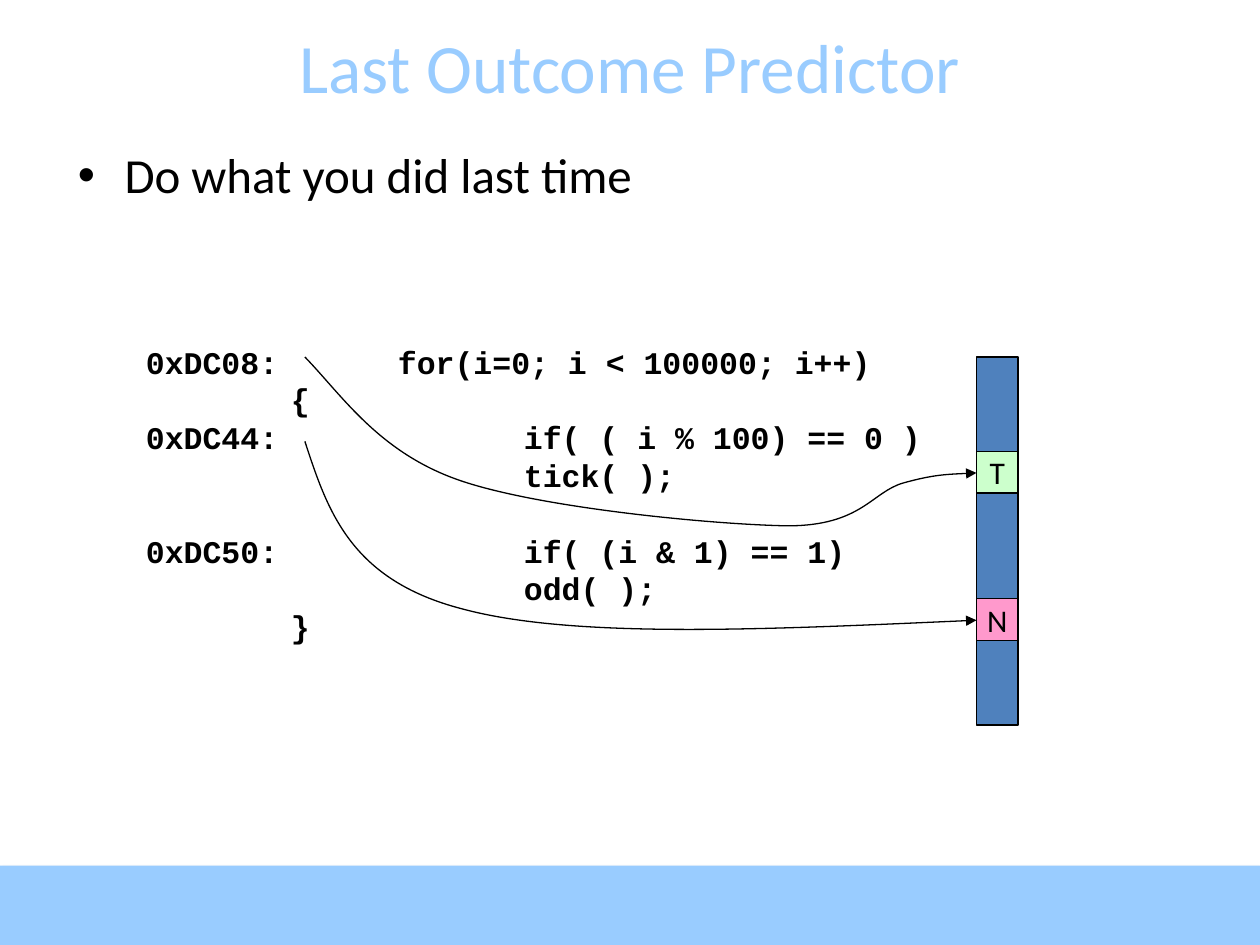
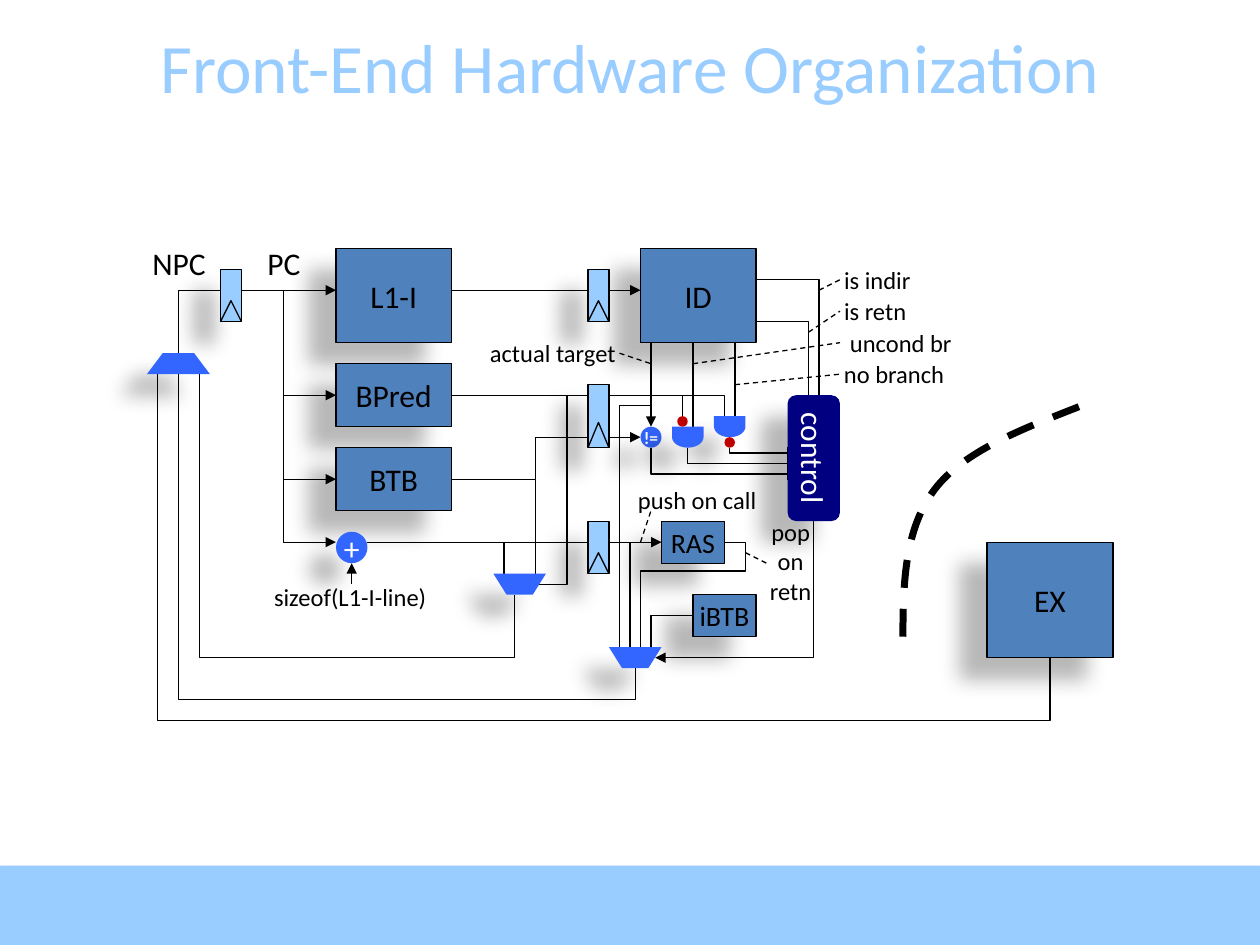
"""Builds two slides on branch prediction and front-end hardware."""
from dataclasses import dataclass

import lxml.etree
import pptx
import pptx.dml.color
import pptx.enum.dml
import pptx.enum.shapes
import pptx.enum.text
import pptx.oxml.ns
import pptx.util

Inches, Pt = pptx.util.Inches, pptx.util.Pt
SHAPE = pptx.enum.shapes.MSO_SHAPE
ALIGN = pptx.enum.text.PP_ALIGN
ANCHOR = pptx.enum.text.MSO_ANCHOR


@dataclass(frozen=True)
class Theme:
    """Fonts, type sizes, colours and shadows of the deck."""
    font: str = "Calibri"
    code_font: str = "Courier New"
    title: float = 39.6
    body: int = 28
    block: int = 18
    store: int = 16
    label: int = 14
    small: int = 10
    code_line: float = 21.6
    hairline: float = 0.75
    sky: str = "99CCFF"
    steel: str = "4F81BD"
    logic: str = "3366FF"
    navy: str = "000080"
    inverter: str = "C00000"
    taken: str = "CCFFCC"
    not_taken: str = "FF99CC"
    ink: str = "000000"
    paper: str = "FFFFFF"
    band_shadow: tuple = (35, 3.1, 1.8, 90)
    part_shadow: tuple = (28, 11.8, 19.7, 141)


T = Theme()


@dataclass(frozen=True)
class Box:
    """A region with its origin in inches and the length of its grid unit."""
    left: float
    top: float
    unit: float = 1

    def point(self, x, y):
        """Return the slide position of a grid point."""
        return Inches(self.left + x * self.unit), Inches(self.top + y * self.unit)

    def frame(self, x, y, w, h):
        """Return the slide position and size of a grid rectangle."""
        return *self.point(x, y), Inches(w * self.unit), Inches(h * self.unit)


def rgb(colour):
    """Return a colour object for a hex string."""
    return pptx.dml.color.RGBColor.from_string(colour)


def sub(parent, tag, **attrs):
    """Append a drawing element with the given attributes."""
    e = lxml.etree.SubElement(parent, pptx.oxml.ns.qn(tag))
    for name, value in attrs.items():
        e.set(name, str(value))
    return e


def add_run(p, text, size, colour=T.ink, font=T.font, bold=False):
    """Add one formatted run to a paragraph."""
    r = p.add_run()
    r.text = text
    r.font.name, r.font.size, r.font.bold = font, Pt(size), bold
    r.font.color.rgb = rgb(colour)


def paragraphs(tf, lines):
    """Yield one paragraph of the frame with each line of text."""
    for i, line in enumerate(lines):
        yield (tf.add_paragraph() if i else tf.paragraphs[0]), line


def cast_shadow(sp, shadow):
    """Replace the inherited shadow with an outer one, or with none."""
    sp.shadow.inherit = False
    if shadow:
        alpha, blur, dist, angle = shadow
        effects = sp._element.spPr.find(pptx.oxml.ns.qn("a:effectLst"))
        outer = sub(effects, "a:outerShdw", blurRad=Pt(blur), dist=Pt(dist),
                    dir=angle * 60000, algn="ctr", rotWithShape=0)
        sub(sub(outer, "a:srgbClr", val=T.ink), "a:alpha", val=alpha * 1000)


def paint(sp, fill, outline, shadow):
    """Set the fill, outline and shadow of a shape."""
    sp.fill.solid()
    sp.fill.fore_color.rgb = rgb(fill)
    if outline:
        sp.line.color.rgb, sp.line.width = rgb(T.ink), Pt(T.hairline)
    else:
        sp.line.fill.background()
    cast_shadow(sp, shadow)


def part(s, box, rect, fill=T.steel, text="", size=T.block, kind=SHAPE.RECTANGLE,
         colour=T.ink, outline=True, shadow=T.part_shadow, bold=False):
    """Draw a preset shape with an optional centred caption."""
    sp = s.shapes.add_shape(kind, *box.frame(*rect))
    paint(sp, fill, outline, shadow)
    if text:
        tf = sp.text_frame
        tf.word_wrap, tf.vertical_anchor = False, ANCHOR.MIDDLE
        tf.paragraphs[0].alignment = ALIGN.CENTER
        add_run(tf.paragraphs[0], text, size, colour, bold=bold)
    return sp


def label(s, box, rect, text, size=T.label, align=ALIGN.CENTER):
    """Write a label that does not wrap."""
    tf = s.shapes.add_textbox(*box.frame(*rect)).text_frame
    tf.word_wrap = False
    for p, line in paragraphs(tf, text.split("\n")):
        p.alignment = align
        add_run(p, line, size)


def outline_shape(s, box, points, close=False):
    """Build a freeform through grid points."""
    start, *rest = [box.point(*pt) for pt in points]
    fb = s.shapes.build_freeform(*start)
    fb.add_line_segments(rest, close=close)
    return fb.convert_to_shape()


def stroke(sp, arrow=False, dash=False, width=T.hairline):
    """Set the line style and the arrowhead of a wire."""
    sp.line.color.rgb, sp.line.width = rgb(T.ink), Pt(width)
    if dash:
        sp.line.dash_style = pptx.enum.dml.MSO_LINE.DASH
    if arrow:
        sub(sp.line._get_or_add_ln(), "a:tailEnd", type="triangle")


def open_path(s, box, points):
    """Build an unfilled freeform without a shadow."""
    sp = outline_shape(s, box, points)
    sp.fill.background()
    sp.shadow.inherit = False
    return sp


def wire(s, box, *points, **style):
    """Draw a line through grid points, as a connector when it is straight."""
    if len(points) > 2:
        stroke(open_path(s, box, points), **style)
        return
    start, end = (box.point(*pt) for pt in points)
    sp = s.shapes.add_connector(pptx.enum.shapes.MSO_CONNECTOR.STRAIGHT, *start, *end)
    stroke(sp, **style)
    sub(sp._element.spPr, "a:effectLst")


def curve(s, box, *points, **style):
    """Draw cubic Bezier segments, each of two control points and an end."""
    sp = open_path(s, box, points)
    lines = list(sp._element.iter(pptx.oxml.ns.qn("a:lnTo")))
    for i in range(0, len(lines), 3):
        bezier = sub(lines[i].getparent(), "a:cubicBezTo")
        for line in lines[i:i + 3]:
            bezier.append(line[0])
            line.getparent().remove(line)
    stroke(sp, **style)


def new_slide(prs, title):
    """Add a blank slide with the footer band and the title."""
    s = prs.slides.add_slide(prs.slide_layouts[6])
    part(s, Box(0, 6.87), (0, 0, 10, 0.63), T.sky, outline=False, shadow=T.band_shadow)
    tf = s.shapes.add_textbox(*Box(0, 0.21).frame(0, 0, 10, 0.63)).text_frame
    tf.word_wrap, tf.vertical_anchor = True, ANCHOR.MIDDLE
    tf.paragraphs[0].alignment = ALIGN.CENTER
    add_run(tf.paragraphs[0], title, T.title, T.sky)
    return s


def bullet_text(s, box, text):
    """Write one bulleted statement."""
    tf = s.shapes.add_textbox(*box.frame(0, 0, 9, 5.56)).text_frame
    tf.word_wrap = True
    p = tf.paragraphs[0]
    pPr = p._p.get_or_add_pPr()
    pPr.set("marL", str(Inches(0.37)))
    pPr.set("indent", str(-Inches(0.37)))
    sub(pPr, "a:buFont", typeface="Arial")
    sub(pPr, "a:buChar", char="•")
    add_run(p, text, T.body)


def code_listing(s, box):
    """Write the loop with its branch addresses on one-inch tab stops."""
    tf = s.shapes.add_textbox(*box.frame(0, 0, 6.77, 2.52)).text_frame
    tf.word_wrap = True
    lines = ("0xDC08:\tfor(i=0; i < 100000; i++)", "\t {",
             "0xDC44:\t\tif( ( i % 100) == 0 )", "\t\t\ttick( );",
             "0xDC50:\t\tif( (i & 1) == 1)", "\t\t\todd( );", "\t }")
    for p, line in paragraphs(tf, lines):
        tabs = sub(p._p.get_or_add_pPr(), "a:tabLst")
        for stop in (1, 2, 3):
            sub(tabs, "a:tab", pos=Inches(stop), algn="l")
        p.line_spacing = Pt(T.code_line)
        if line.startswith("0xDC50"):
            p.space_before = Pt(T.code_line)
        add_run(p, line, T.block, font=T.code_font, bold=True)


def history_table(s, box):
    """Draw the predictor column and the arrows from two branches."""
    part(s, box, (5.33, 0, 0.33, 2.92), shadow=None)
    for y, fill, text in ((0.75, T.taken, "T"), (1.92, T.not_taken, "N")):
        part(s, box, (5.33, y, 0.33, 0.33), fill, text, shadow=None)
    curve(s, box, (0, 0.67), (0.18, 1.22), (0.36, 1.77), (1.25, 2),
          (2.14, 2.24), (3.73, 2.16), (5.33, 2.09), arrow=True)
    curve(s, box, (0, 0), (0.3, 0.31), (0.59, 0.76), (1.23, 0.98),
          (1.87, 1.2), (3.24, 1.33), (3.83, 1.34), (4.42, 1.34), (4.5, 1.07), (4.75, 1),
          (5, 0.93), (5.16, 0.93), (5.33, 0.92), arrow=True)


def register(s, box, x, y, h=5, notch=2):
    """Draw a pipeline register with its clock notch."""
    part(s, box, (x, y, 2, h), T.sky)
    wire(s, box, (x, y + h), (x + 1, y + h - notch), (x + 2, y + h))


def mux(s, box, x, y, w, wide_at_top=True):
    """Draw a multiplexer two units high."""
    wide, narrow = (y, y + 2) if wide_at_top else (y + 2, y)
    inset = w / 4
    sp = outline_shape(s, box, [(x, wide), (x + inset, narrow),
                                (x + w - inset, narrow), (x + w, wide)], close=True)
    paint(sp, T.logic, False, T.part_shadow)


def fetch_stage(s, box):
    """Draw the next-PC path, the cache, the predictors and the adder."""
    wire(s, box, (29, 14), (42, 14))
    wire(s, box, (40, 14), (40, 32), (37, 32))
    wire(s, box, (29, 4), (47, 4), arrow=True)
    for y, h, text in ((0, 9, "L1-I"), (11, 6, "BPred"), (19, 6, "BTB")):
        part(s, box, (18, y, 11, h), text=text)
    wire(s, box, (9, 4), (18, 4), arrow=True)
    part(s, box, (18, 27, 3, 3), T.logic, "+", kind=SHAPE.OVAL, colour=T.paper, outline=False)
    for y, end in ((4, 14), (14, 22), (22, 28)):
        wire(s, box, (13, y), (13, end), (18, end), arrow=True)
    wire(s, box, (19.5, 32), (19.5, 30), arrow=True)
    wire(s, box, (21, 28), (34, 28), (34, 31))
    wire(s, box, (29, 22), (37, 22), (37, 31))
    wire(s, box, (3, 10), (3, 4), (7, 4))
    register(s, box, 7, 2)
    label(s, box, (10.75, 31.2, 17.2, 4), "sizeof(L1-I-line)")
    label(s, box, (-1.2, -1, 8.5, 4.8), "NPC", T.block)
    label(s, box, (10, -1, 6.1, 4.8), "PC", T.block)


def decode_stage(s, box):
    """Draw the decoder, the target check, the gates and the control block."""
    part(s, box, (47, 0, 11, 9), text="ID")
    wire(s, box, (52, 9), (52, 17))
    wire(s, box, (37, 22), (37, 18), (47, 18), arrow=True)
    check = part(s, box, (47, 17, 2, 2), T.logic, "!=", T.small, SHAPE.OVAL,
                 T.paper, outline=False, bold=True)
    check.text_frame.margin_left = check.text_frame.margin_right = 0
    wire(s, box, (48, 9), (48, 17), arrow=True)
    register(s, box, 42, 2)
    register(s, box, 42, 13, 6, 2.4)
    wire(s, box, (44, 14), (51, 14), (51, 16))
    wire(s, box, (51, 14), (55, 14), (55, 16))
    wire(s, box, (56, 9), (56, 16))
    wire(s, box, (58, 7), (63, 7), (63, 14))
    wire(s, box, (58, 3), (64, 3), (64, 14))
    for i, x in enumerate((55.5, 51.5, 48)):
        part(s, box, (61, 19 + i, 1, 1), shadow=None)
        wire(s, box, (x, 19), (x, 19.5 + i), (61, 19.5 + i))
    control = part(s, box, (57.5, 17.5, 12, 5), T.navy, "control",
                   kind=SHAPE.ROUNDED_RECTANGLE, colour=T.paper, outline=False)
    control.rotation = 90
    for x, y, dot_x, dot_y in ((54.5, 15.5, 55, 18), (50.5, 16.5, 50.5, 16)):
        gate = part(s, box, (x, y, 2, 3), T.logic, kind=SHAPE.FLOWCHART_DELAY, outline=False)
        gate.rotation = 90
        part(s, box, (dot_x, dot_y, 1, 1), T.inverter, kind=SHAPE.OVAL, outline=False)


def target_stage(s, box):
    """Draw the return stack, the indirect buffer and the target select."""
    part(s, box, (49, 26, 6, 4), text="RAS", size=T.store)
    part(s, box, (52, 33, 6, 4), text="iBTB", size=T.store)
    register(s, box, 42, 26)
    wire(s, box, (34, 28), (42, 28))
    wire(s, box, (44, 28), (49, 28), arrow=True)
    wire(s, box, (46, 28), (46, 38))
    wire(s, box, (55, 28), (57, 28), (57, 30.75), (47, 30.75), (47, 38))
    wire(s, box, (48, 15), (45, 15), (45, 38))
    wire(s, box, (52, 35), (48, 35), (48, 38))
    wire(s, box, (63.5, 26), (63.5, 39), (48.4, 39), arrow=True)


def signal_labels(s, box):
    """Write the signal names and their dashed leaders."""
    for rect, text in (((31.4, 8, 14.5, 4), "actual target"),
                       ((45.4, 22, 14, 4), "push on call"),
                       ((58.1, 25, 6.4, 9.7), "pop\non\nretn"),
                       ((65.7, 7, 12.2, 4), "uncond br")):
        label(s, box, rect, text)
    for y, w, text in ((1, 9, "is indir"), (4, 8.5, "is retn"), (10, 12, "no branch")):
        label(s, box, (65.2, y, w, 4), text, align=ALIGN.LEFT)
    for start, end in (((47, 28), (48, 25)), ((45, 10), (48, 11)),
                       ((52, 11), (66, 9)), ((56, 13), (66, 12)),
                       ((63, 8), (66, 6)), ((64, 4), (66, 3)), ((57, 29), (59, 30))):
        wire(s, box, start, end, dash=True)


def redirect_paths(s, box):
    """Draw the execute stage, the return wires and the multiplexers."""
    part(s, box, (80, 28, 12, 11), text="EX")
    curve(s, box, (72, 37), (72, 31.8), (72.2, 26.7), (75, 23),
          (77.8, 19.3), (83.4, 17.2), (89, 15), dash=True, width=4)
    for x, y, low, end in ((35, 33, 39, 5), (46.5, 40, 43, 3), (86, 39, 45, 1)):
        wire(s, box, (x, y), (x, low), (end, low), (end, 12))
    mux(s, box, 0, 10, 6, wide_at_top=False)
    mux(s, box, 33, 31, 5)
    mux(s, box, 44, 38, 5)


def main():
    """Build both slides and save the deck."""
    prs = pptx.Presentation()
    prs.slide_width, prs.slide_height = Inches(10), Inches(7.5)
    s = new_slide(prs, "Last Outcome Predictor")
    bullet_text(s, Box(0.52, 1.1), "Do what you did last time")
    code_listing(s, Box(1.06, 2.67))
    history_table(s, Box(2.42, 34 / 12))
    s = new_slide(prs, "Front-End Hardware Organization")
    for region in (fetch_stage, decode_stage, target_stage, signal_labels, redirect_paths):
        region(s, Box(14 / 12, 1.97, 1 / 12))
    prs.save("out.pptx")


if __name__ == "__main__":
    main()
